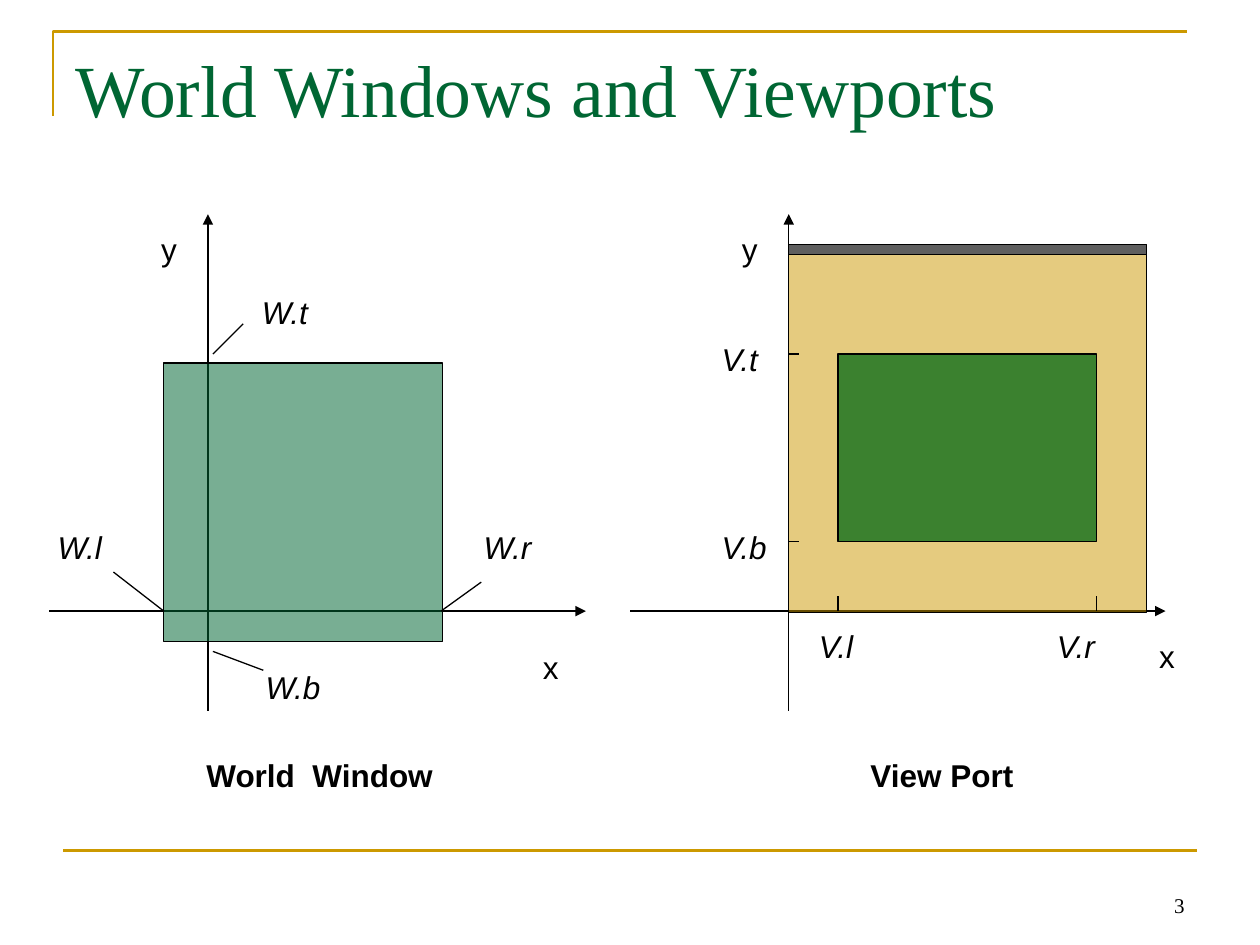
from lxml import etree
from pptx import Presentation
from pptx.dml.color import RGBColor
from pptx.enum.shapes import MSO_CONNECTOR, MSO_SHAPE
from pptx.enum.text import MSO_ANCHOR, MSO_AUTO_SIZE, PP_ALIGN
from pptx.oxml.ns import qn
from pptx.util import Inches, Pt

STRAIGHT, RECT = MSO_CONNECTOR.STRAIGHT, MSO_SHAPE.RECTANGLE
TOP, BOTTOM = MSO_ANCHOR.TOP, MSO_ANCHOR.BOTTOM
LEFT, RIGHT = PP_ALIGN.LEFT, PP_ALIGN.RIGHT
NO_FIT = MSO_AUTO_SIZE.NONE

THEME = {
    "black": RGBColor.from_string("000000"),
    "green": RGBColor.from_string("006633"),
    "gold": RGBColor.from_string("CC9900"),
    "leaf": RGBColor.from_string("3B812F"),
    "gray": RGBColor.from_string("5F5F5F"),
    "serif": "Times New Roman", "sans": "Arial",
    "title": Pt(42), "label": Pt(18), "number": Pt(12),
    "rule": Pt(1.5), "thin": Pt(0.75),
}
LABEL = {"size": THEME["label"], "name": THEME["sans"]}
ITALIC = {**LABEL, "italic": True}
BOLD = {**LABEL, "bold": True}

prs = Presentation()
prs.slide_width, prs.slide_height = Inches(10), Inches(7.5)
s = prs.slides.add_slide(prs.slide_layouts[5])


def add_line(x1, y1, x2, y2, color="black", width="thin", arrow=False):
    c = s.shapes.add_connector(STRAIGHT, *map(Inches, (x1, y1, x2, y2)))
    c.line.color.rgb, c.line.width = THEME[color], THEME[width]
    if arrow:
        etree.SubElement(c.line._get_or_add_ln(), qn("a:tailEnd"), type="triangle")
    etree.SubElement(c._element.spPr, qn("a:effectLst"))


def write(sp, text, font, color="black", wrap=False, anchor=TOP, align=LEFT):
    tf = sp.text_frame
    tf.auto_size, tf.word_wrap, tf.vertical_anchor = NO_FIT, wrap, anchor
    p = tf.paragraphs[0]
    p.alignment = align
    r = p.add_run()
    r.text = text
    r.font.color.rgb = THEME[color]
    for key, value in font.items():
        setattr(r.font, key, value)


# Frame: corner at the top left, rule at the bottom
fb = s.shapes.build_freeform(Inches(0.42), Inches(0.92))
fb.add_line_segments([(Inches(0.42), Inches(0.25)), (Inches(9.42), Inches(0.25))],
                     close=False)
corner = fb.convert_to_shape()
corner.shadow.inherit = False
corner.fill.background()
corner.line.color.rgb, corner.line.width = THEME["gold"], THEME["rule"]
add_line(0.5, 6.75, 9.5, 6.75, "gold", "rule")

# Title
title = s.shapes.title
title.left, title.top, title.width, title.height = map(Inches, (0.5, 0.3, 9, 1.25))
write(title, "World Windows and Viewports",
      {"size": THEME["title"], "name": THEME["serif"]}, "green", wrap=True)

# Axes of the world (left) and the screen (right)
AXIS_Y = 4.85
WORLD_X, VIEW_X = 1.65, 6.26
for origin, start, end in ((WORLD_X, 0.39, 4.65), (VIEW_X, 5, 9.25)):
    add_line(origin, 5.64, origin, 1.7, arrow=True)
    add_line(start, AXIS_Y, end, AXIS_Y, arrow=True)

# World window, screen, screen title bar, viewport
V_L, V_R, V_T, V_B = 6.65, 8.7, 2.81, 4.3
for x, y, w, h, color, alpha in (
    (1.3, 2.88, 2.21, 2.21, "green", 53),
    (VIEW_X, 2.02, 2.84, 2.84, "gold", 50),
    (VIEW_X, 1.94, 2.84, 0.08, "gray", 100),
    (V_L, V_T, V_R - V_L, V_B - V_T, "leaf", 100),
):
    sp = s.shapes.add_shape(RECT, *map(Inches, (x, y, w, h)))
    sp.shadow.inherit = False
    sp.fill.solid()
    sp.fill.fore_color.rgb = THEME[color]
    sp.line.color.rgb, sp.line.width = THEME["black"], THEME["thin"]
    if alpha < 100:
        clr = sp._element.spPr.find(qn("a:solidFill"))[0]
        etree.SubElement(clr, qn("a:alpha"), val=str(alpha * 1000))

# Leaders to the window edges
for ends in ((1.93, 2.57, 1.69, 2.81), (3.82, 4.62, 3.5, AXIS_Y),
             (0.9, 4.54, 1.3, AXIS_Y), (1.69, 5.17, 2.09, 5.32)):
    add_line(*ends)

# Ticks at the viewport edges
for x in (V_L, V_R):
    add_line(x, AXIS_Y, x, AXIS_Y - 0.12)
for y in (V_T, V_B):
    add_line(VIEW_X, y, VIEW_X + 0.08, y)

# Labels and captions
for text, x, y, w, font in (
    ("y", 1.18, 1.78, 0.32, LABEL), ("x", 4.21, 5.09, 0.32, LABEL),
    ("y", 5.79, 1.78, 0.32, LABEL), ("x", 9.1, 5.01, 0.32, LABEL),
    ("W.t", 1.98, 2.28, 0.57, ITALIC), ("W.r", 3.74, 4.14, 0.59, ITALIC),
    ("W.l", 0.36, 4.14, 0.56, ITALIC), ("W.b", 2.01, 5.25, 0.64, ITALIC),
    ("V.l", 6.4, 4.93, 0.49, ITALIC), ("V.r", 8.29, 4.93, 0.52, ITALIC),
    ("V.b", 5.63, 4.14, 0.57, ITALIC), ("V.t", 5.63, 2.65, 0.5, ITALIC),
    ("World  Window", 1.54, 5.95, 2, BOLD), ("View Port", 6.81, 5.95, 1.34, BOLD),
):
    write(s.shapes.add_textbox(*map(Inches, (x, y, w, 0.4))), text, font)

# Slide number
number = s.shapes.add_textbox(*map(Inches, (7.17, 6.83, 2.33, 0.5)))
write(number, "3", {"size": THEME["number"], "name": THEME["serif"]},
      wrap=True, anchor=BOTTOM, align=RIGHT)

prs.save("out.pptx")
